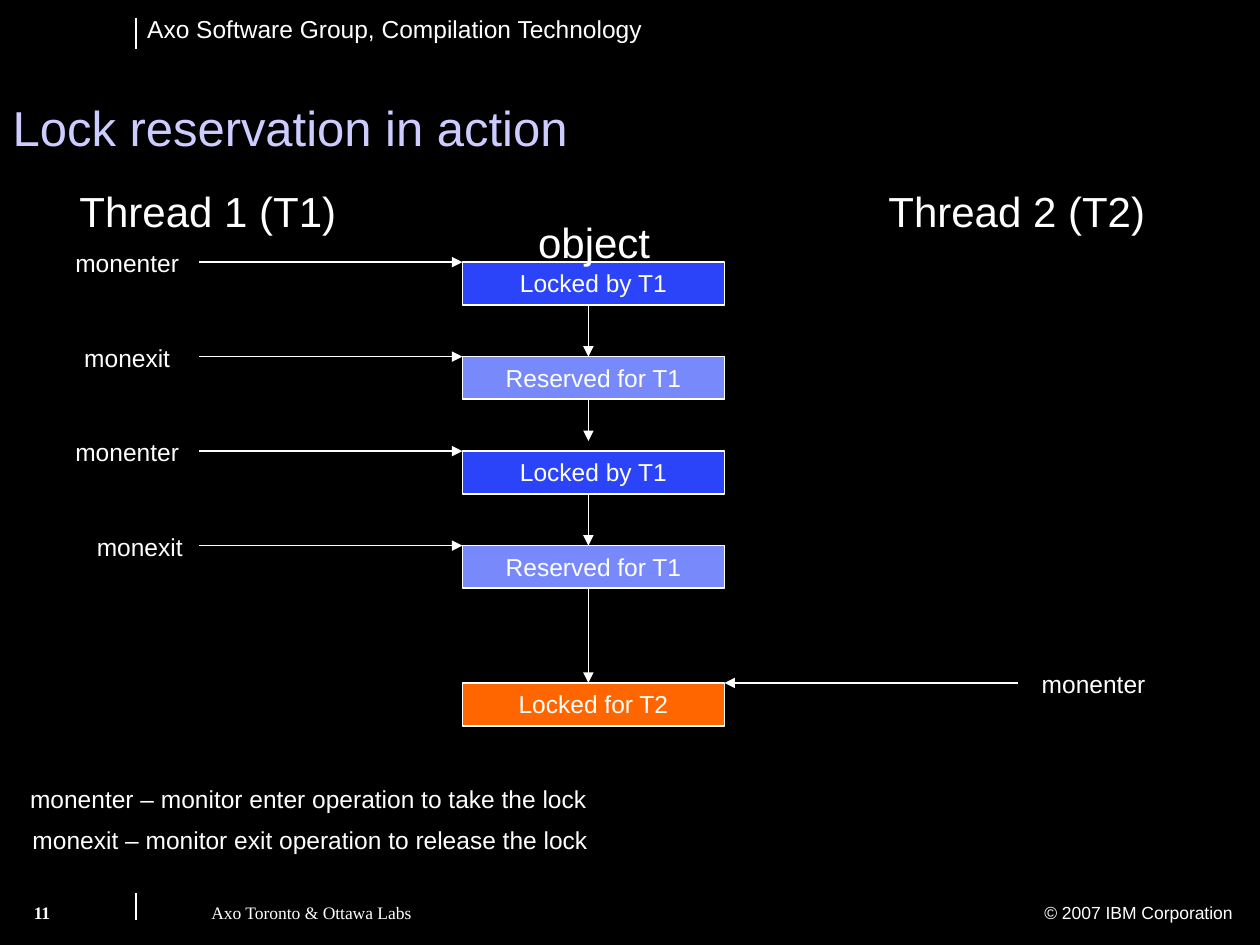
from dataclasses import dataclass

from lxml import etree
from pptx import Presentation
from pptx import util as u
from pptx.dml.color import RGBColor
from pptx.enum import shapes, text
from pptx.oxml.ns import qn


@dataclass(frozen=True)
class Theme:
    background: str = "000000"
    ink: str = "FFFFFF"
    title: str = "CCCCFF"
    locked: str = "2B44F9"
    reserved: str = "7889FB"
    other_thread: str = "FF6600"
    sans: str = "Arial"
    serif: str = "Times New Roman"
    title_size: int = 28
    heading_size: int = 24
    body_size: int = 14
    footer_size: int = 10
    line_width: float = 1
    rule_width: float = 0.75


THEME = Theme()
LEFT, CENTER, RIGHT = text.PP_ALIGN.LEFT, text.PP_ALIGN.CENTER, text.PP_ALIGN.RIGHT
ROW_HEIGHT = 0.34


def colour(value):
    return RGBColor.from_string(value)


def write(shape, words, size, ink=THEME.ink, align=LEFT, font=THEME.sans, bold=False):
    shape.text_frame.text = words
    para = shape.text_frame.paragraphs[0]
    para.alignment = align
    para.space_before = u.Pt(0)
    for span in para.runs:
        span.font.name = font
        span.font.size = u.Pt(size)
        span.font.bold = bold
        span.font.color.rgb = colour(ink)


def add_label(page, box, words, size=THEME.body_size, wrap=False, **style):
    label = page.shapes.add_textbox(*map(u.Inches, box))
    label.text_frame.word_wrap = wrap
    label.text_frame.auto_size = text.MSO_AUTO_SIZE.SHAPE_TO_FIT_TEXT
    write(label, words, size, **style)


def add_line(page, start, end, width=THEME.line_width, arrow=False):
    line = page.shapes.add_connector(
        shapes.MSO_CONNECTOR.STRAIGHT, *map(u.Inches, (*start, *end)))
    line.line.color.rgb = colour(THEME.ink)
    line.line.width = u.Pt(width)
    if arrow:
        etree.SubElement(line.line._get_or_add_ln(), qn("a:tailEnd"), type="triangle")
    etree.SubElement(line._element.spPr, qn("a:effectLst"))


def add_state(page, box, words, fill):
    state = page.shapes.add_shape(shapes.MSO_SHAPE.RECTANGLE, *map(u.Inches, box))
    state.shadow.inherit = False
    state.fill.solid()
    state.fill.fore_color.rgb = colour(fill)
    state.line.color.rgb = colour(THEME.ink)
    state.line.width = u.Pt(THEME.line_width)
    state.text_frame.word_wrap = True
    state.text_frame.vertical_anchor = text.MSO_ANCHOR.TOP
    write(state, words, THEME.body_size, align=CENTER)


def add_header(page, box):
    left, top, width, height = box
    add_line(page, (left + 0.01, top + 0.08), (left + 0.01, top + 0.33), THEME.rule_width)
    add_label(page, box, "Axo Software Group, Compilation Technology")


def add_title(page, box):
    title = page.shapes.title
    title.left, title.top, title.width, title.height = map(u.Inches, box)
    frame = title.text_frame
    write(title, "Lock reservation in action", THEME.title_size, THEME.title)
    frame.word_wrap = True
    frame.auto_size = text.MSO_AUTO_SIZE.NONE
    frame.vertical_anchor = text.MSO_ANCHOR.BOTTOM
    frame.paragraphs[0].line_spacing = 0.9


def add_headings(page, top):
    for left, width, drop, words in (
        (0.42, 2.46, 0, "Thread 1 (T1)"),
        (6.92, 2.3, 0, "Thread 2 (T2)"),
        (4.17, 1.09, 0.25, "object"),
    ):
        add_label(page, (left, top + drop, width, 0.5), words,
                  THEME.heading_size, align=CENTER)


def add_states(page, box):
    """Stack the lock states, with the arrows between them and from the threads."""
    left, top, width, height = box
    right, axis, step = left + width, left + 1, 0.75
    last = top + height - ROW_HEIGHT
    tops = [top + step * row for row in range(4)] + [last]
    locked, reserved = ("Locked by T1", THEME.locked), ("Reserved for T1", THEME.reserved)
    states = [locked, reserved] * 2 + [("Locked for T2", THEME.other_thread)]
    for y, (words, fill) in zip(tops, states):
        add_state(page, (left, y, width, ROW_HEIGHT), words, fill)

    # The second arrow stops a little above its state.
    for y, following, gap in zip(tops, tops[1:], (0, 0.08, 0, 0)):
        add_line(page, (axis, y + ROW_HEIGHT), (axis, following - gap), arrow=True)

    # Each call: words, middle of its label, start and end of its arrow.
    from_first, from_second = (1.58, left), (8.08, right)
    calls = [("monenter", 1.01, from_first), ("monexit", 1.01, from_first),
             ("monenter", 1.01, from_first), ("monexit", 1.11, from_first),
             ("monenter", 8.68, from_second)]
    label_width = 1.1
    for y, (words, middle, (start, end)) in zip(tops, calls):
        add_line(page, (start, y), (end, y), arrow=True)
        add_label(page, (middle - label_width / 2, y - 0.16, label_width, ROW_HEIGHT),
                  words, align=CENTER)


def add_legend(page, box):
    left, top, width, height = box
    for row, (indent, words) in enumerate((
        (0, "monenter – monitor enter operation to take the lock"),
        (0.02, "monexit – monitor exit operation to release the lock"),
    )):
        add_label(page, (left + indent, top + row * height / 2, width, ROW_HEIGHT), words)


def add_footer(page, top):
    add_line(page, (1.08, top - 0.02), (1.08, top + 0.19), THEME.rule_width)
    add_label(page, (0.17, top, 1.1, 0.27), "11", THEME.footer_size,
              wrap=True, font=THEME.serif, bold=True)
    add_label(page, (1.58, top, 4.17, 0.27), "Axo Toronto & Ottawa Labs",
              THEME.footer_size, wrap=True, font=THEME.serif)
    add_label(page, (6.26, top, 3.62, 0.27), "© 2007 IBM Corporation",
              THEME.footer_size, wrap=True, align=RIGHT)


def main():
    deck = Presentation()
    deck.slide_width, deck.slide_height = u.Inches(10), u.Inches(7.5)
    page = deck.slides.add_slide(deck.slide_layouts.get_by_name("Title Only"))
    page.background.fill.solid()
    page.background.fill.fore_color.rgb = colour(THEME.background)
    add_header(page, (1.07, 0.06, 4.16, ROW_HEIGHT))
    add_title(page, (0, 0.75, 9.02, 0.55))
    add_states(page, (3.67, 2.08, 2.08, 3.68))
    add_headings(page, 1.42)
    add_legend(page, (0.14, 6.17, 4.67, 0.66))
    add_footer(page, 7.11)
    deck.save("out.pptx")


if __name__ == "__main__":
    main()
